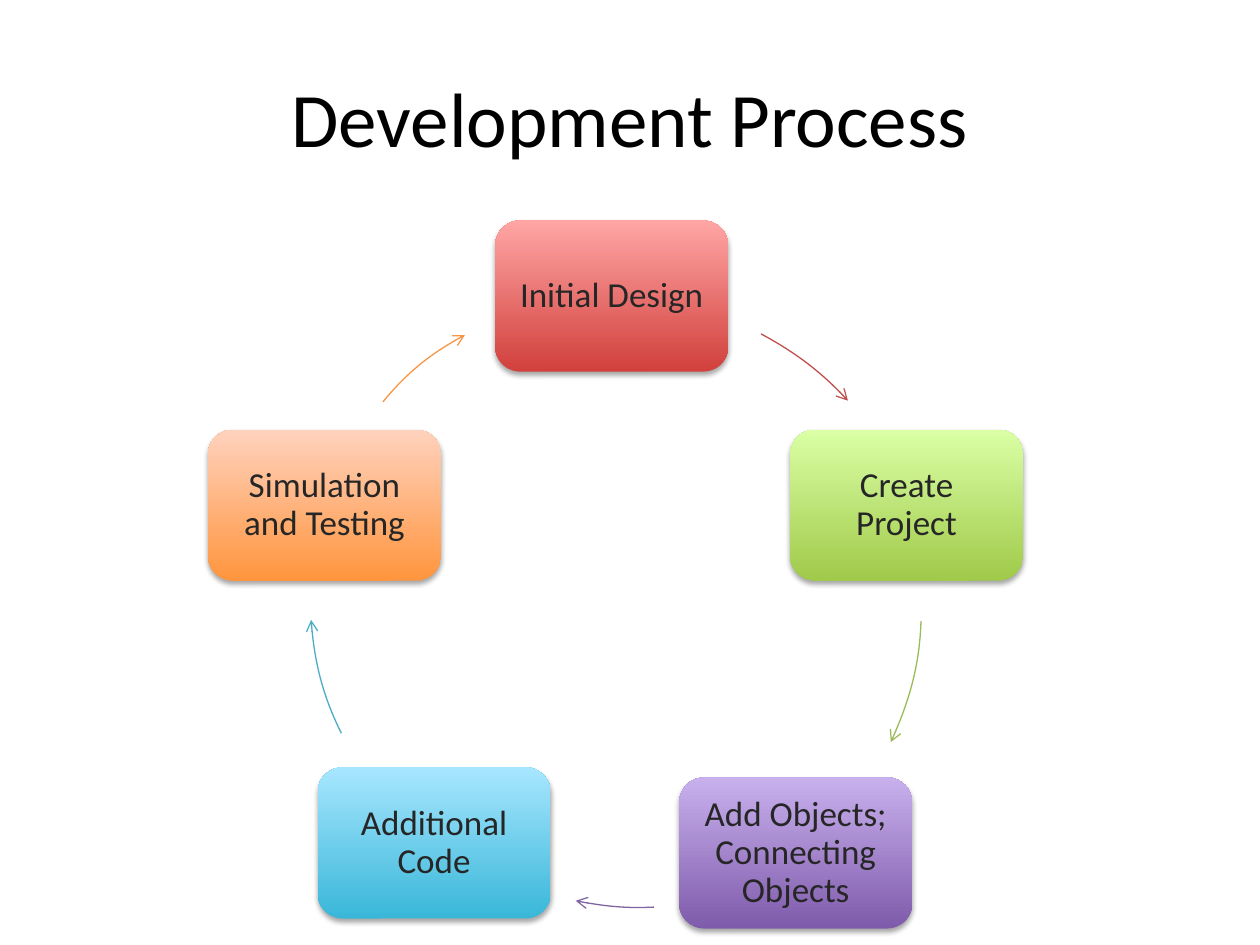
from dataclasses import dataclass
from lxml import etree
from pptx import Presentation
from pptx.dml.color import RGBColor
from pptx.enum.shapes import MSO_SHAPE as Shape
from pptx.enum.text import MSO_ANCHOR as Anchor, PP_ALIGN as Align
from pptx.oxml.ns import qn
from pptx.util import Inches, Pt


@dataclass(frozen=True)
class Theme:
    font: str = "Calibri"
    title_size: int = 44
    step_size: int = 20
    title_color: str = "000000"
    step_color: str = "262626"
    shadow_color: str = "000000"


THEME = Theme()
TITLE = "Development Process"
STEP_W, STEP_H, INSET = 1.85, 1.2, 0.08
RING = 4.8  # side of the square around the circle each arrow lies on

# Step: text, (left, top), (bottom colour, top colour), arrow colour,
# (left, top) of the arrow's ring, arrow curve (start, control, control, end)
STEPS = [
    ("Initial Design", (3.93, 1.75), ("D1403C", "FFA6A5"), "C0504D",
     (2.55, 2.39), [(6.04, 2.65), (6.3, 2.79), (6.54, 2.97), (6.73, 3.18)]),
    ("Create Project", (6.27, 3.41), ("A0CA4A", "DAFFA5"), "9BBB59",
     (2.52, 2.43), [(7.31, 4.93), (7.3, 5.26), (7.21, 5.59), (7.07, 5.89)]),
    ("Add Objects; Connecting Objects", (5.39, 6.17), ("7F5BAB", "C8B0ED"), "8064A2",
     (2.68, 2.41), [(5.19, 7.2), (4.98, 7.21), (4.77, 7.19), (4.57, 7.15)]),
    ("Additional Code", (2.52, 6.09), ("39B7D8", "A7E6FF"), "4BACC6",
     (2.46, 2.35), [(2.71, 5.82), (2.57, 5.54), (2.49, 5.23), (2.47, 4.92)]),
    ("Simulation and Testing", (1.65, 3.41), ("FF953E", "FFD2BD"), "F79646",
     (2.46, 2.35), [(3.04, 3.19), (3.22, 2.97), (3.44, 2.79), (3.69, 2.66)]),
]


def rgb(color):
    return RGBColor.from_string(color)


def write(tf, text, size, color):
    tf.text = text
    tf.word_wrap = True
    tf.vertical_anchor = Anchor.MIDDLE
    p = tf.paragraphs[0]
    p.alignment = Align.CENTER
    font = p.runs[0].font
    font.name, font.size, font.color.rgb = THEME.font, Pt(size), rgb(color)
    return p


def add_shadow(sp):
    sp.shadow.inherit = False
    effects = sp._element.spPr.find(qn("a:effectLst"))
    shadow = etree.SubElement(effects, qn("a:outerShdw"), blurRad=str(Pt(3.1)),
                              dist=str(Pt(1.8)), dir="5400000", rotWithShape="0")
    color = etree.SubElement(shadow, qn("a:srgbClr"), val=THEME.shadow_color)
    etree.SubElement(color, qn("a:alpha"), val="35000")


def add_step(slide, text, left, top, colors):
    sp = slide.shapes.add_shape(Shape.ROUNDED_RECTANGLE, Inches(left), Inches(top),
                                Inches(STEP_W), Inches(STEP_H))
    sp.fill.gradient()
    sp.fill.gradient_angle = 90
    for stop, color in zip(sp.fill.gradient_stops, colors):
        stop.color.rgb = rgb(color)
    sp.line.fill.background()
    add_shadow(sp)
    tf = sp.text_frame
    tf.margin_left = tf.margin_right = tf.margin_top = tf.margin_bottom = Inches(INSET)
    write(tf, text, THEME.step_size, THEME.step_color).line_spacing = 0.9


def add_arrow(slide, ring, points, color):
    start, *rest = [(Inches(x), Inches(y)) for x, y in points]
    builder = slide.shapes.build_freeform(*start)
    builder.add_line_segments(rest, close=False)
    sp = builder.convert_to_shape()
    # Turn the three straight segments into one Bezier curve
    segments = list(sp._element.iter(qn("a:lnTo")))
    outline = segments[0].getparent()
    curve = etree.SubElement(outline, qn("a:cubicBezTo"))
    for segment in segments:
        curve.append(segment[0])
        outline.remove(segment)
    # Let the frame span the whole ring, with points measured from its corner
    sp.left, sp.top = (Inches(v) for v in ring)
    sp.width = sp.height = Inches(RING)
    for side in "wh":
        outline.set(side, str(Inches(RING)))
    for pt, (x, y) in zip(outline.iter(qn("a:pt")), points):
        pt.set("x", str(Inches(x - ring[0])))
        pt.set("y", str(Inches(y - ring[1])))
    sp.fill.background()
    sp.shadow.inherit = False
    sp.line.color.rgb = rgb(color)
    sp.line.width = Pt(0.75)
    etree.SubElement(sp.line._get_or_add_ln(), qn("a:tailEnd"), type="arrow")


prs = Presentation()
prs.slide_width, prs.slide_height = Inches(10), Inches(7.5)
slide = prs.slides.add_slide(prs.slide_layouts[5])

# Title
title = slide.shapes.title
title.left, title.top = Inches(0.5), Inches(0.3)
title.width, title.height = Inches(9), Inches(1.25)
write(title.text_frame, TITLE, THEME.title_size, THEME.title_color)

# Cycle of steps
for text, (left, top), colors, arrow_color, ring, curve in STEPS:
    add_step(slide, text, left, top, colors)
    add_arrow(slide, ring, curve, arrow_color)

prs.save("out.pptx")
